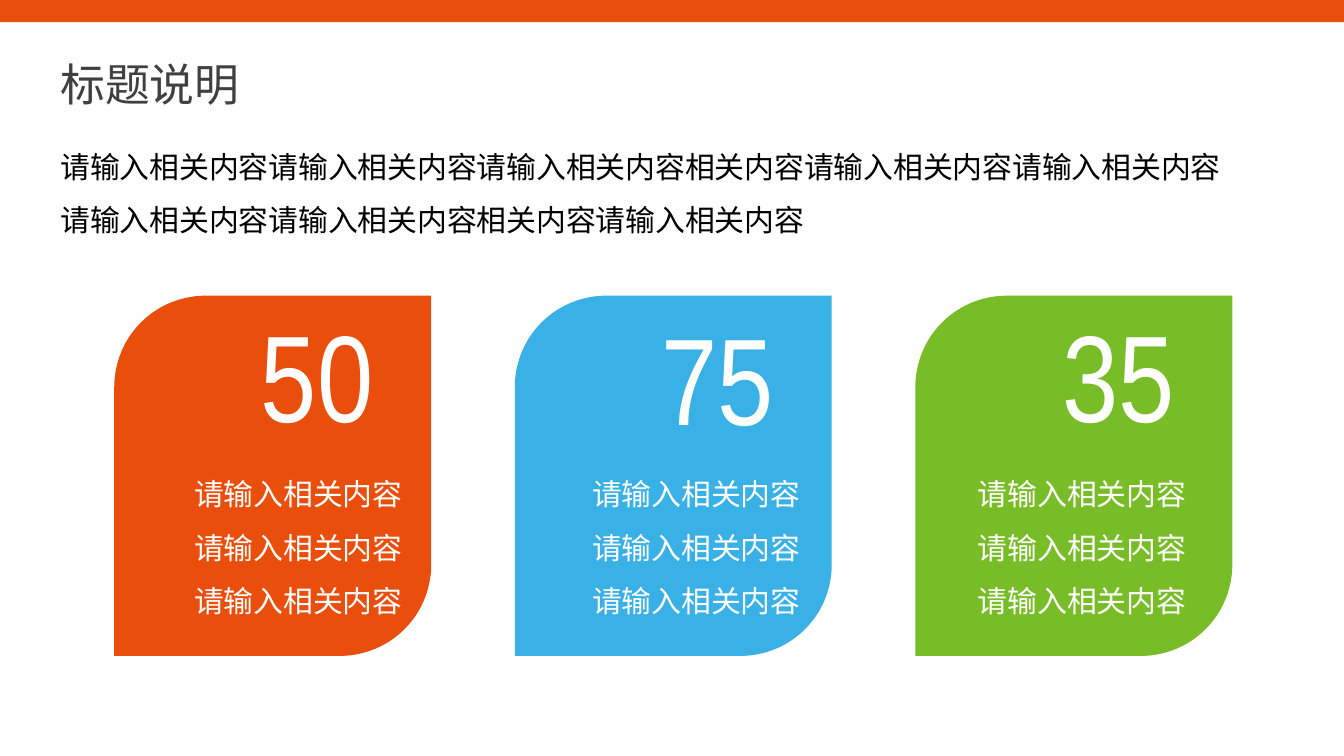
from dataclasses import dataclass

from lxml import etree
from pptx import Presentation
from pptx import util as u
from pptx.dml.color import RGBColor
from pptx.enum import shapes, text
from pptx.oxml import ns


@dataclass(frozen=True)
class Theme:
    orange: str = "E94E0C"
    blue: str = "39B0E6"
    green: str = "78BC28"
    white: str = "FFFFFF"
    black: str = "000000"
    grey: str = "404040"
    title_size: int = 24
    body_size: int = 16
    figure_size: int = 66
    title_font: str = "Noto Sans CJK SC"
    body_font: str = "Calibri"
    figure_font: str = "Arial Narrow"
    chinese_font: str = "Noto Sans CJK SC"


THEME = Theme()
PHRASE = "请输入相关内容"
BODY = PHRASE * 3 + "相关内容" + PHRASE * 4 + "相关内容" + PHRASE


@dataclass(frozen=True)
class Box:
    """A rectangle in centimetres."""
    left: float
    top: float
    width: float
    height: float

    def lengths(self) -> list[u.Cm]:
        return [u.Cm(side) for side in (self.left, self.top, self.width, self.height)]


@dataclass(frozen=True)
class Style:
    font: str
    size: int
    color: str
    align: text.PP_ALIGN = text.PP_ALIGN.LEFT
    spacing: float = 1.0


@dataclass(frozen=True)
class Card:
    figure: str
    color: str
    figure_top: float
    caption_left: float


TITLE = Style(THEME.title_font, THEME.title_size, THEME.grey)
INTRO = Style(THEME.body_font, THEME.body_size, THEME.black, spacing=1.5)
FIGURE = Style(THEME.figure_font, THEME.figure_size, THEME.white, text.PP_ALIGN.CENTER)
CAPTION = Style(THEME.body_font, THEME.body_size, THEME.white, text.PP_ALIGN.CENTER, 1.5)

CARDS = [
    Card("50", THEME.orange, 5.54, 3.1),
    Card("75", THEME.blue, 5.59, 10.62),
    Card("35", THEME.green, 5.54, 17.91),
]
CARD_LEFT, CARD_TOP, CARD_PITCH = 2.16, 5.59, 7.57
FIGURE_INDENT = 1.93


def add_panel(slide, kind: shapes.MSO_SHAPE, box: Box, color: str):
    shape = slide.shapes.add_shape(kind, *box.lengths())
    shape.shadow.inherit = False
    shape.fill.solid()
    shape.fill.fore_color.rgb = RGBColor.from_string(color)
    shape.line.fill.background()
    return shape


def add_text(slide, box: Box, lines: list[str], style: Style) -> None:
    frame = slide.shapes.add_textbox(*box.lengths()).text_frame
    frame.word_wrap = True
    frame.auto_size = text.MSO_AUTO_SIZE.SHAPE_TO_FIT_TEXT
    font_format = {"name": style.font, "size": u.Pt(style.size)}
    for index, line in enumerate(lines):
        paragraph = frame.add_paragraph() if index else frame.paragraphs[0]
        paragraph.alignment = style.align
        paragraph.line_spacing = style.spacing
        run = paragraph.add_run()
        run.text = line
        for attribute, value in font_format.items():
            setattr(run.font, attribute, value)
        run.font.color.rgb = RGBColor.from_string(style.color)
        east_asian = etree.SubElement(run._r.get_or_add_rPr(), ns.qn("a:ea"))
        east_asian.set("typeface", THEME.chinese_font)


def add_card(slide, card: Card, left: float) -> None:
    panel = add_panel(slide, shapes.MSO_SHAPE.ROUND_2_DIAG_RECTANGLE,
                      Box(left, CARD_TOP, 5.99, 6.81), card.color)
    panel.adjustments[0] = 0.288
    panel.adjustments[1] = 0
    add_text(slide, Box(left + FIGURE_INDENT, card.figure_top, 3.81, 3.07),
             [card.figure], FIGURE)
    add_text(slide, Box(card.caption_left, 8.53, 5.08, 3.33), [PHRASE] * 3, CAPTION)


def main() -> None:
    presentation = Presentation()
    presentation.slide_width = u.Cm(25.4)
    presentation.slide_height = u.Cm(14.29)
    slide = presentation.slides.add_slide(presentation.slide_layouts[6])

    add_panel(slide, shapes.MSO_SHAPE.RECTANGLE, Box(0, 0, 25.4, 0.42), THEME.orange)
    add_text(slide, Box(0.89, 0.94, 6.2, 1.27), ["标题说明"], TITLE)
    add_text(slide, Box(0.89, 2.34, 22.81, 2.31), [BODY], INTRO)
    for index, card in enumerate(CARDS):
        add_card(slide, card, CARD_LEFT + index * CARD_PITCH)

    presentation.save("out.pptx")


if __name__ == "__main__":
    main()
